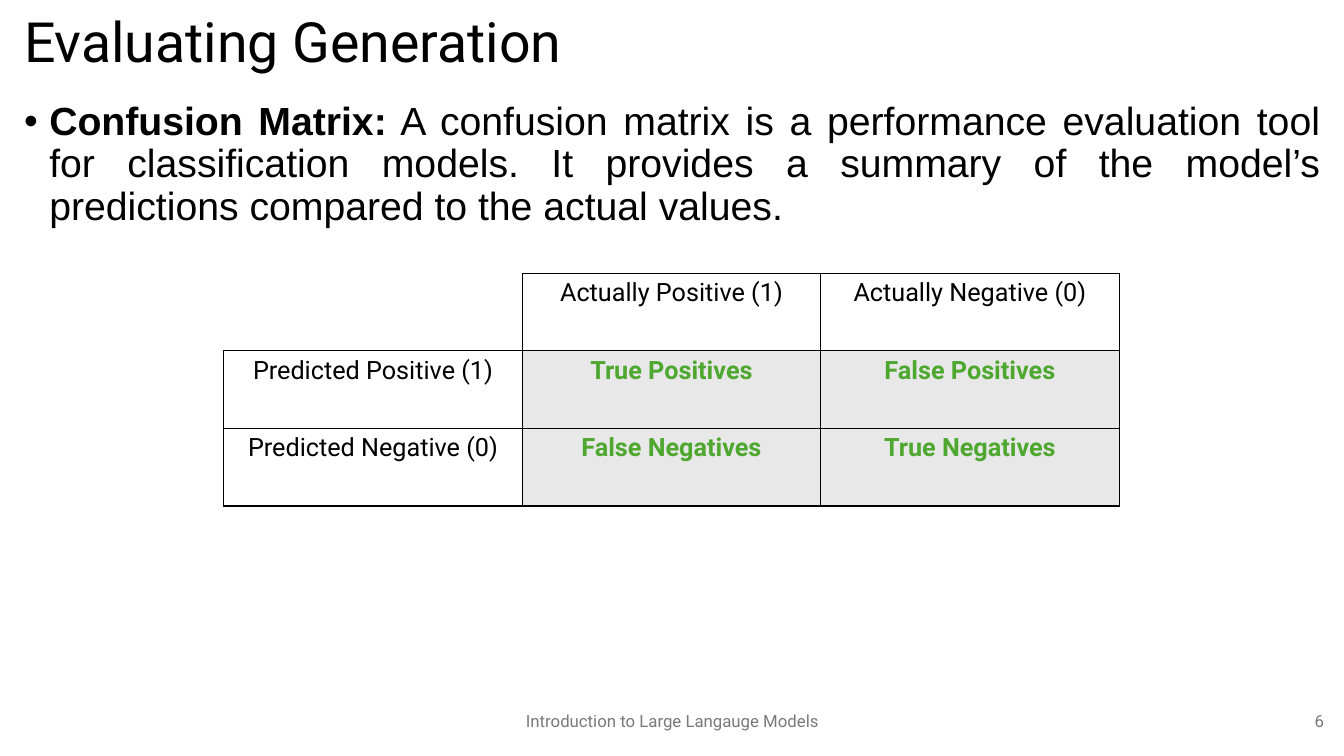
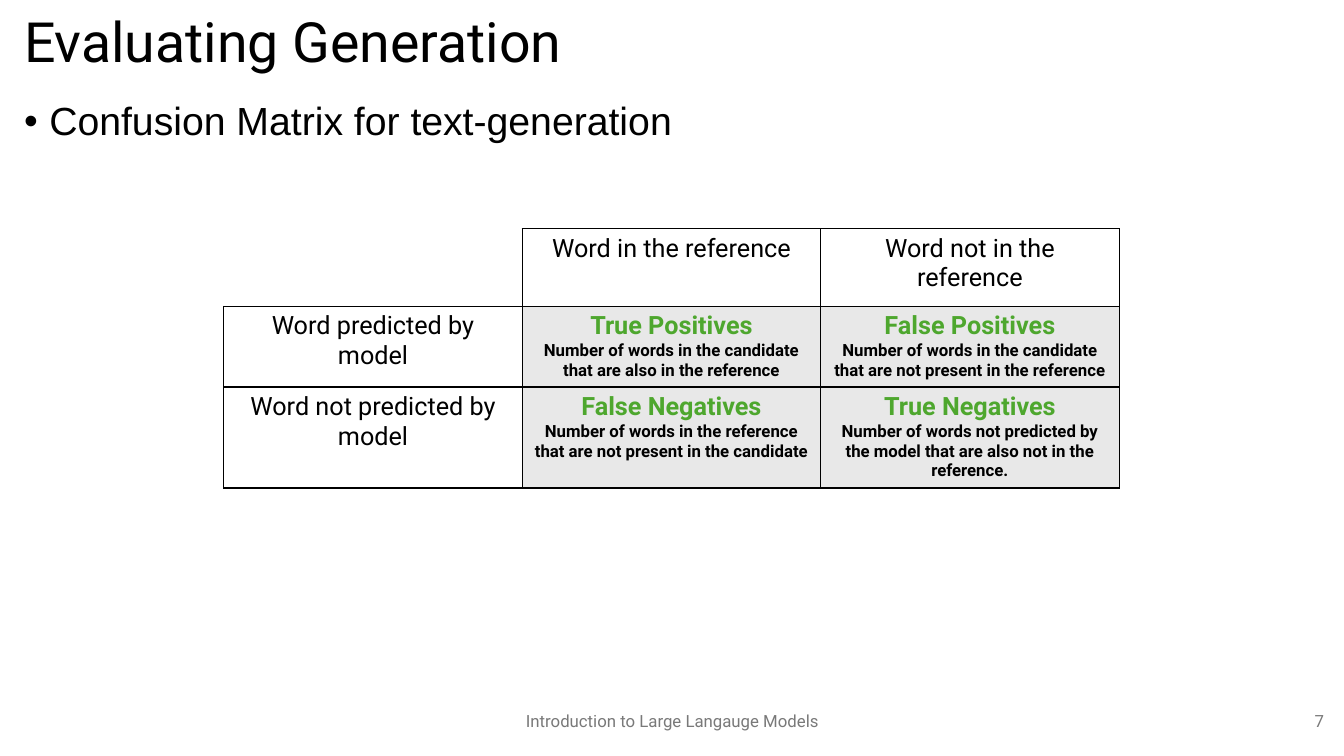
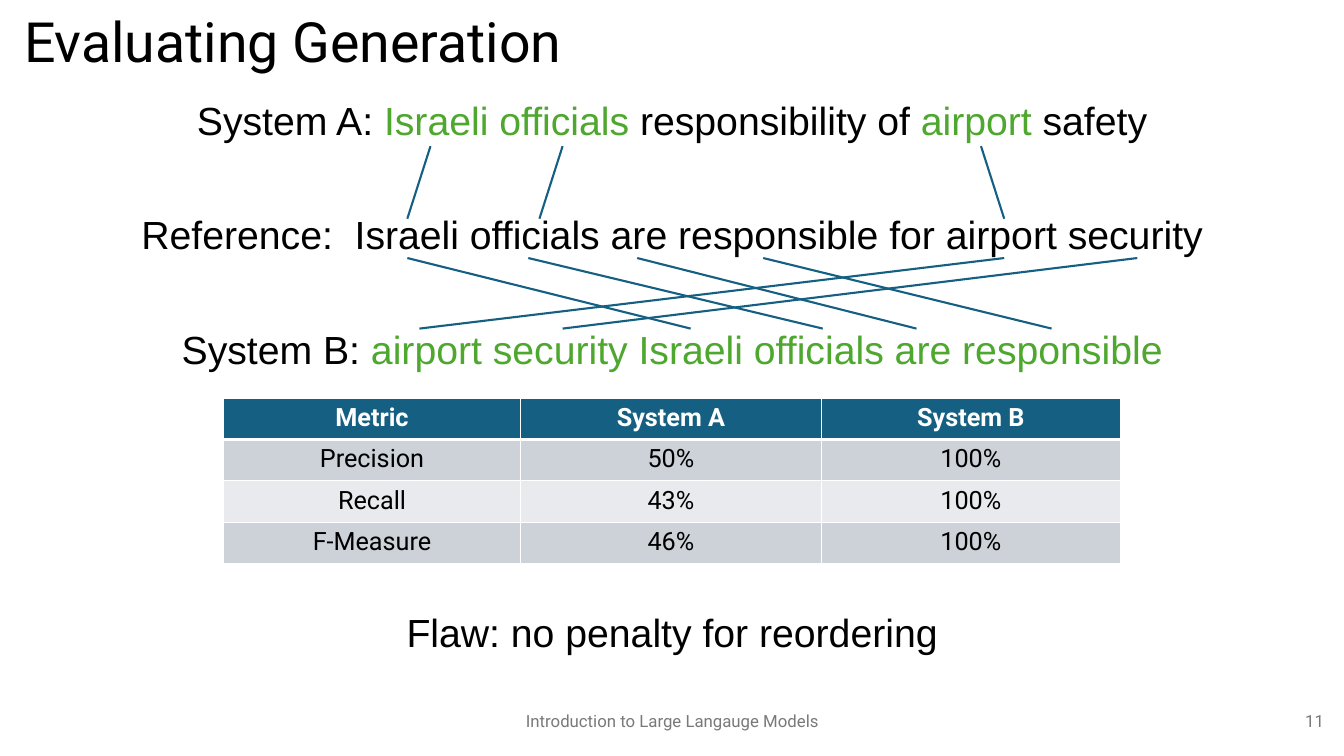
from lxml import etree
from pptx import Presentation
from pptx.dml.color import RGBColor
from pptx.enum.shapes import MSO_CONNECTOR
from pptx.enum.text import MSO_ANCHOR, PP_ALIGN
from pptx.oxml.ns import qn
from pptx.util import Inches, Pt

LEFT, CENTER, RIGHT = PP_ALIGN.LEFT, PP_ALIGN.CENTER, PP_ALIGN.RIGHT
JUSTIFY = PP_ALIGN.JUSTIFY
TOP, MIDDLE = MSO_ANCHOR.TOP, MSO_ANCHOR.MIDDLE
STRAIGHT = MSO_CONNECTOR.STRAIGHT

BLACK = RGBColor(0x00, 0x00, 0x00)
WHITE = RGBColor(0xFF, 0xFF, 0xFF)
GREEN = RGBColor(0x4E, 0xA7, 0x2E)
GRAY = RGBColor(0x79, 0x79, 0x79)
LIGHT = RGBColor(0xE8, 0xE8, 0xE8)
BLUE = RGBColor(0x15, 0x60, 0x82)
BAND_DARK = RGBColor(0xCC, 0xD2, 0xD8)
BAND_LIGHT = RGBColor(0xE8, 0xEA, 0xED)

HEADING_FONT, BODY_FONT = "Roboto", "Arial"
TITLE = "Evaluating Generation"
FOOTER = "Introduction to Large Langauge Models"

TITLE_BOX = (0.14, 0.09, 13.05, 0.7)
BODY_BOX = (0.14, 0.96, 13.05, 5.99)
FOOTER_BOX = (4.42, 6.95, 4.5, 0.4)
NUMBER_BOX = (10.23, 6.95, 3, 0.4)
TABLE_LEFT = 2.22

SYSTEM_LINES = [
    (10, [("System A: ", BLACK), ("Israeli officials", GREEN),
          (" responsibility of ", BLACK), ("airport", GREEN), (" safety", BLACK)]),
    (51.4, [("Reference:  Israeli officials are responsible for airport security", BLACK)]),
    (51.4, [("System B: ", BLACK),
            ("airport security Israeli officials are responsible", GREEN)]),
    (172.4, [("Flaw: no penalty for reordering", BLACK)]),
]
A_TO_REFERENCE = [(4.13, 3.9), (5.44, 5.21), (9.59, 9.82)]
REFERENCE_TO_B = [(3.9, 6.71), (5.1, 8.02), (6.18, 8.95),
                  (9.82, 4.02), (11.14, 5.44), (7.43, 10.29)]


def add_run(p, text, size, font, color, bold=False):
    r = p.add_run()
    r.text = text
    r.font.size = Pt(size)
    r.font.name = font
    r.font.bold = bold
    r.font.color.rgb = color


def add_frame(s, box, anchor=TOP):
    tf = s.shapes.add_textbox(*map(Inches, box)).text_frame
    tf.word_wrap = True
    tf.vertical_anchor = anchor
    return tf


def add_label(s, box, text, size, color, align=LEFT, line_spacing=1.0):
    p = add_frame(s, box, MIDDLE).paragraphs[0]
    p.alignment = align
    p.line_spacing = line_spacing
    add_run(p, text, size, HEADING_FONT, color)


def add_base(prs, number):
    s = prs.slides.add_slide(prs.slide_layouts[6])
    add_label(s, TITLE_BOX, TITLE, 39.6, BLACK, line_spacing=0.9)
    add_label(s, FOOTER_BOX, FOOTER, 12, GRAY, CENTER)
    add_label(s, NUMBER_BOX, str(number), 12, GRAY, RIGHT)
    return s


def format_body(p, align, space_before=10):
    p.alignment = align
    p.line_spacing = 0.9
    p.space_before = Pt(space_before)


def add_bullet(s, box, lead, text):
    p = add_frame(s, box).paragraphs[0]
    format_body(p, JUSTIFY)
    pPr = p._p.get_or_add_pPr()
    pPr.set("marL", str(Inches(0.25)))
    pPr.set("indent", str(-Inches(0.25)))
    etree.SubElement(pPr, qn("a:buFont")).set("typeface", BODY_FONT)
    etree.SubElement(pPr, qn("a:buChar")).set("char", "•")
    if lead:
        add_run(p, lead, 28, BODY_FONT, BLACK, True)
    add_run(p, text, 28, BODY_FONT, BLACK)


def set_borders(cell, color, widths):
    tcPr = cell._tc.get_or_add_tcPr()
    for i, (side, width) in enumerate(zip("LRTB", widths)):
        ln = etree.Element(qn(f"a:ln{side}"))
        ln.set("w", str(Pt(width)))
        if width:
            fill = etree.SubElement(ln, qn("a:solidFill"))
            etree.SubElement(fill, qn("a:srgbClr")).set("val", str(color))
        else:
            etree.SubElement(ln, qn("a:noFill"))
        tcPr.insert(i, ln)


def add_grid(s, top, col_widths, row_height, rows):
    shape = s.shapes.add_table(len(rows), len(col_widths), Inches(TABLE_LEFT), Inches(top),
                               Inches(sum(col_widths)), Inches(row_height * len(rows)))
    table = shape.table
    table.first_row = table.horz_banding = False
    for column, width in zip(table.columns, col_widths):
        column.width = Inches(width)
    for row in table.rows:
        row.height = Inches(row_height)
    return table


def fill_cell(cell, text, color, bold=False, fill=None, detail=None):
    if fill is None:
        cell.fill.background()
    else:
        cell.fill.solid()
        cell.fill.fore_color.rgb = fill
    p = cell.text_frame.paragraphs[0]
    p.alignment = CENTER
    if text:
        add_run(p, text, 18, HEADING_FONT, color, bold)
    if detail:
        p = cell.text_frame.add_paragraph()
        p.alignment = CENTER
        add_run(p, detail, 12, HEADING_FONT, BLACK, True)


def add_confusion_matrix(s, top, rows, details=None):
    table = add_grid(s, top, [2.96] * 3, 0.77, rows)
    for i, row in enumerate(rows):
        for j, text in enumerate(row):
            cell = table.cell(i, j)
            if i and j:
                detail = details[i - 1][j - 1] if details else None
                fill_cell(cell, text, GREEN, True, LIGHT, detail)
            else:
                fill_cell(cell, text, BLACK)
            set_borders(cell, BLACK, (1, 1, 1, 1) if i or j else (0, 1, 0, 1))


def add_metrics(s, top, rows):
    table = add_grid(s, top, [2.94, 2.99, 2.96], 0.41, rows)
    for i, row in enumerate(rows):
        for j, text in enumerate(row):
            cell = table.cell(i, j)
            if i == 0:
                fill_cell(cell, text, WHITE, True, BLUE)
            else:
                fill_cell(cell, text, BLACK, fill=BAND_DARK if i % 2 else BAND_LIGHT)
            set_borders(cell, WHITE, (1, 1, 3 if i == 1 else 1, 3 if i == 0 else 1))


def add_systems(s, box):
    tf = add_frame(s, box)
    for i, (space_before, runs) in enumerate(SYSTEM_LINES):
        p = tf.add_paragraph() if i else tf.paragraphs[0]
        format_body(p, CENTER, space_before)
        for text, color in runs:
            add_run(p, text, 28, BODY_FONT, color)


def add_word_links(s, box, links, top, bottom):
    left, box_top = box[:2]
    for start, end in links:
        line = s.shapes.add_connector(STRAIGHT, Inches(left + start), Inches(box_top + top),
                                      Inches(left + end), Inches(box_top + bottom))
        line.line.color.rgb = BLUE
        line.line.width = Pt(1.5)
        etree.SubElement(line._element.spPr, qn("a:effectLst"))


def build_definition(prs):
    s = add_base(prs, 6)
    add_bullet(s, BODY_BOX, "Confusion Matrix:",
               " A confusion matrix is a performance evaluation tool for classification models. "
               "It provides a summary of the model’s predictions compared to the actual values.")
    add_confusion_matrix(s, 2.71, [
        ("", "Actually Positive (1)", "Actually Negative (0)"),
        ("Predicted Positive (1)", "True Positives", "False Positives"),
        ("Predicted Negative (0)", "False Negatives", "True Negatives"),
    ])


def build_text_generation(prs):
    s = add_base(prs, 7)
    add_bullet(s, BODY_BOX, "", "Confusion Matrix for text-generation")
    add_confusion_matrix(s, 2.27, [
        ("", "Word in the reference", "Word not in the reference"),
        ("Word predicted by model", "True Positives", "False Positives"),
        ("Word not predicted by model", "False Negatives", "True Negatives"),
    ], [
        ("Number of words in the candidate that are also in the reference",
         "Number of words in the candidate that are not present in the reference"),
        ("Number of words in the reference that are not present in the candidate",
         "Number of words not predicted by the model that are also not in the reference."),
    ])


def build_comparison(prs):
    s = add_base(prs, 11)
    add_systems(s, BODY_BOX)
    add_word_links(s, BODY_BOX, A_TO_REFERENCE, 0.49, 1.21)
    add_word_links(s, BODY_BOX, REFERENCE_TO_B, 1.6, 2.3)
    add_metrics(s, 3.95, [
        ("Metric", "System A", "System B"),
        ("Precision", "50%", "100%"),
        ("Recall", "43%", "100%"),
        ("F-Measure", "46%", "100%"),
    ])


def main():
    prs = Presentation()
    prs.slide_width, prs.slide_height = Inches(13.33), Inches(7.5)
    build_definition(prs)
    build_text_generation(prs)
    build_comparison(prs)
    prs.save("out.pptx")


if __name__ == "__main__":
    main()
